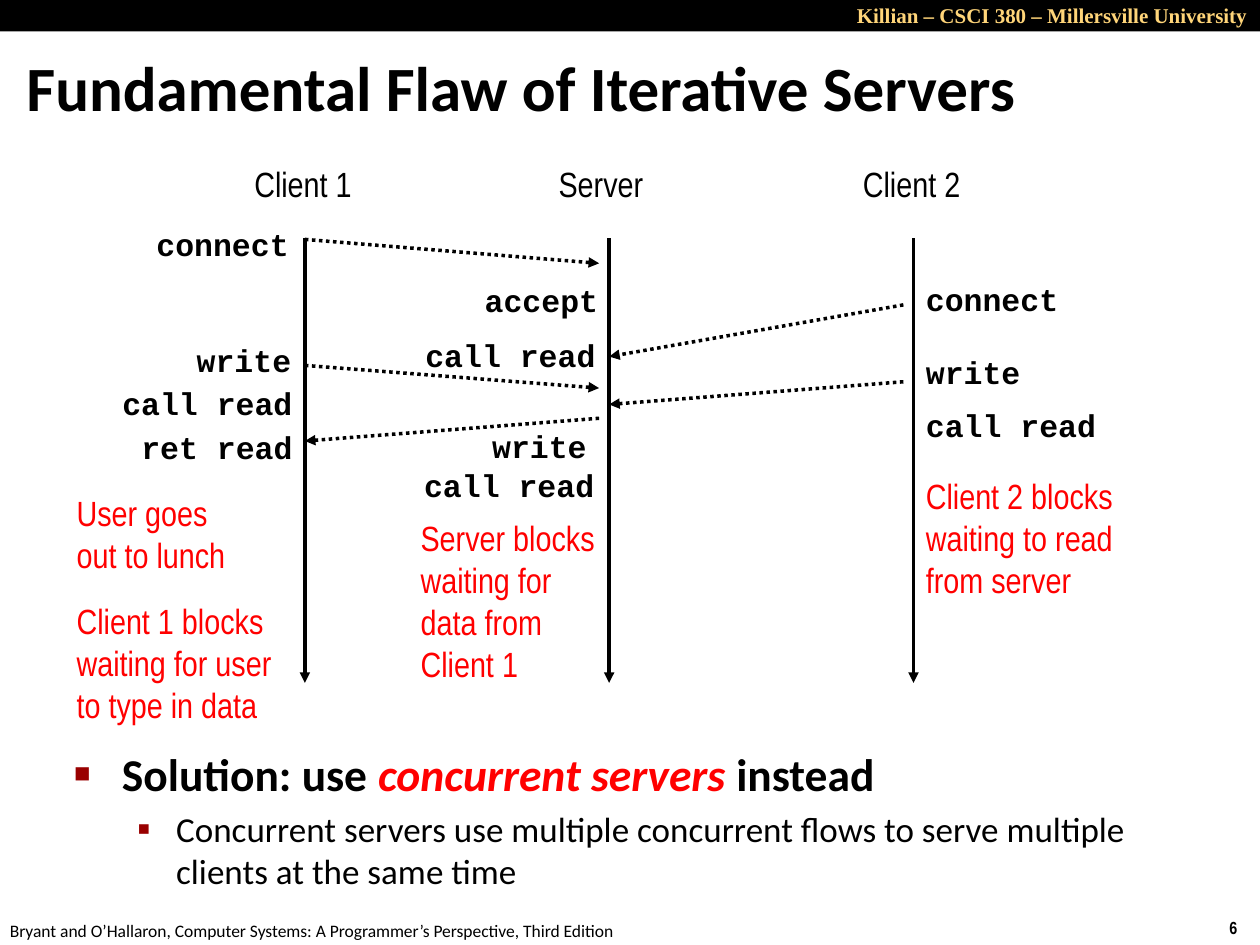
from lxml.etree import SubElement
from pptx import Presentation
from pptx.dml.color import RGBColor
from pptx.enum.dml import MSO_LINE as Dash
from pptx.enum.shapes import MSO_CONNECTOR as Connector, MSO_SHAPE as Shape
from pptx.enum.text import MSO_ANCHOR as Anchor, MSO_AUTO_SIZE as AutoSize, PP_ALIGN as Align
from pptx.oxml.ns import qn
from pptx.util import Inches, Pt

BLACK = RGBColor(0x00, 0x00, 0x00)
RED = RGBColor(0xFF, 0x00, 0x00)
GOLD = RGBColor(0xFF, 0xD5, 0x79)
MAROON = RGBColor(0x99, 0x00, 0x00)

TITLE = dict(name="Calibri", size=Pt(36), bold=True)
HEADER = dict(name="Times New Roman", size=Pt(12), bold=True)
FOOTER = dict(name="Calibri", size=Pt(10))
NUMBER = dict(name="Arial Narrow", size=Pt(10), bold=True)
LABEL = dict(name="Arial Narrow", size=Pt(20))
CALL = dict(name="Courier New", size=Pt(18), bold=True)
POINT = dict(name="Calibri", size=Pt(26), bold=True)
EMPHASIS = dict(POINT, italic=True)
DETAIL = dict(name="Calibri", size=Pt(20), bold=False)

LANE_GAP = 2.415
MESSAGE_GAP = 0.08


def format_font(font, values, color):
    """Apply a dict of font values and a colour."""
    for name, value in values.items():
        setattr(font, name, value)
    font.color.rgb = color


def add_text(slide, box, lines, values, color=BLACK, align=Align.LEFT, wrap=False):
    """Add a text box with one paragraph per line."""
    frame = slide.shapes.add_textbox(*map(Inches, box)).text_frame
    frame.word_wrap = wrap
    for index, line in enumerate(lines):
        paragraph = frame.paragraphs[0] if index == 0 else frame.add_paragraph()
        paragraph.alignment = align
        run = paragraph.add_run()
        run.text = line
        format_font(run.font, values, color)
    return frame


def add_arrow(slide, start, end, dash=None):
    """Add a straight line with a triangle at its end."""
    points = map(Inches, (*start, *end))
    connector = slide.shapes.add_connector(Connector.STRAIGHT, *points)
    connector.line.color.rgb = BLACK
    connector.line.width = Pt(2)
    if dash is not None:
        connector.line.dash_style = dash
    SubElement(connector.line._get_or_add_ln(), qn("a:tailEnd"), type="triangle")
    SubElement(connector._element.spPr, qn("a:effectLst"))


def add_bullet(paragraph, symbol, percent, margin, indent):
    """Give a paragraph a coloured hanging bullet."""
    properties = paragraph._p.get_or_add_pPr()
    properties.set("marL", str(Inches(margin)))
    properties.set("indent", str(Inches(-indent)))
    color = SubElement(properties, qn("a:buClr"))
    SubElement(color, qn("a:srgbClr"), val=str(MAROON))
    SubElement(properties, qn("a:buSzPct"), val=str(percent * 1000))
    SubElement(properties, qn("a:buFont"), typeface="Arial")
    SubElement(properties, qn("a:buChar"), char=symbol)


def add_header(slide, box):
    """Draw the black band with the course name."""
    left, top, width, height = box
    band = slide.shapes.add_shape(Shape.RECTANGLE, *map(Inches, box))
    band.shadow.inherit = False
    band.fill.solid()
    band.fill.fore_color.rgb = BLACK
    band.line.fill.background()
    add_text(slide, (left + 4.5, top - 0.03, width - 4.5, 0.3),
             ["Killian – CSCI 380 – Millersville University"],
             HEADER, GOLD, Align.RIGHT, wrap=True)


def add_title(slide, box):
    """Place and format the title placeholder."""
    title = slide.shapes.title
    title.left, title.top, title.width, title.height = map(Inches, box)
    frame = title.text_frame
    frame.text = "Fundamental Flaw of Iterative Servers"
    frame.auto_size = AutoSize.NONE
    frame.vertical_anchor = Anchor.MIDDLE
    paragraph = frame.paragraphs[0]
    paragraph.alignment = Align.LEFT
    format_font(paragraph.runs[0].font, TITLE, BLACK)


def add_diagram(slide, box):
    """Draw the three timelines with their calls, messages and notes."""
    left, top = box[:2]
    client_1, server, client_2 = lanes = [left + 1.92 + i * LANE_GAP for i in range(3)]

    for lane, name, width in zip(lanes, ("Client 1", "Server", "Client 2"), (0.98, 0.88, 0.98)):
        add_text(slide, (lane - 0.5, top, width, 0.44), [name], LABEL)
        add_arrow(slide, (lane, top + 0.65), (lane, top + 4.18))

    calls = [
        (client_1, Align.RIGHT, [("connect", -0.03, 0.5), ("write", -0.01, 1.42),
                                 ("call read", 0, 1.76), ("ret read", 0, 2.11)]),
        (server, Align.RIGHT, [("accept", 0.01, 0.94), ("call read", -0.01, 1.38),
                               ("write", -0.08, 2.1), ("call read", -0.02, 2.41)]),
        (client_2, Align.LEFT, [("connect", 0, 0.93), ("write", 0, 1.51),
                                ("call read", 0, 1.93)]),
    ]
    for lane, align, entries in calls:
        for name, shift, offset in entries:
            width = 0.15 * len(name) + 0.21
            start = lane + shift - (width if align == Align.RIGHT else 0)
            add_text(slide, (start, top + offset, width, 0.4), [name], CALL, align=align)

    before_server, before_client_2 = server - MESSAGE_GAP, client_2 - MESSAGE_GAP
    messages = [
        (client_1, 0.66, before_server, 0.85),
        (before_client_2, 1.18, server, 1.59),
        (client_1, 1.66, before_server, 1.84),
        (before_client_2, 1.79, server, 1.97),
        (before_server, 2.08, client_1, 2.26),
    ]
    for start, departure, end, arrival in messages:
        add_arrow(slide, (start, top + departure), (end, top + arrival), Dash.ROUND_DOT)

    lunch = add_text(slide, (left + 0.01, top + 2.61, 1.76, 2.02),
                     ["User goes", "out to lunch", "Client 1 blocks",
                      "waiting for user", "to type in data"], LABEL, RED)
    lunch.paragraphs[2].space_before = Pt(14)
    add_text(slide, (left + 2.74, top + 2.81, 1.6, 1.45),
             ["Server blocks", "waiting for", "data from", "Client 1"], LABEL, RED)
    add_text(slide, (client_2, top + 2.48, 1.7, 1.11),
             ["Client 2 blocks", "waiting to read", "from server"], LABEL, RED)


def add_solution(slide, box):
    """Write the bulleted solution."""
    frame = slide.shapes.add_textbox(*map(Inches, box)).text_frame
    frame.word_wrap = True
    point, detail = frame.paragraphs[0], frame.add_paragraph()
    add_bullet(point, "■", 60, 0.38, 0.38)
    add_bullet(detail, "▪", 110, 0.81, 0.31)
    detail.level = 1
    detail.space_before = Pt(4)
    runs = [
        (point, "Solution: use ", POINT, BLACK),
        (point, "concurrent servers ", EMPHASIS, RED),
        (point, "instead", POINT, BLACK),
        (detail, "Concurrent servers use multiple concurrent flows to serve "
                 "multiple clients at the same time", DETAIL, BLACK),
    ]
    for paragraph, text, values, color in runs:
        run = paragraph.add_run()
        run.text = text
        format_font(run.font, values, color)


def add_footer(slide, box):
    """Write the book reference and the slide number."""
    left, top, width, height = box
    add_text(slide, (left - 0.02, top + 0.02, 5.08, height),
             ["Bryant and O’Hallaron, Computer Systems: A Programmer’s Perspective, Third Edition"],
             FOOTER)
    add_text(slide, (left + width - 0.34, top, 0.34, height), ["6"], NUMBER)


def main():
    """Build and save the slide."""
    presentation = Presentation()
    presentation.slide_width, presentation.slide_height = Inches(10), Inches(7.5)
    slide = presentation.slides.add_slide(presentation.slide_layouts[5])
    add_footer(slide, (0, 7.23, 10, 0.27))
    add_header(slide, (0, 0, 10, 0.25))
    add_title(slide, (0.11, 0.37, 9.83, 0.63))
    add_diagram(slide, (0.5, 1.24, 8.45, 4.63))
    add_solution(slide, (0.49, 5.87, 9.26, 1.26))
    presentation.save("out.pptx")


if __name__ == "__main__":
    main()
